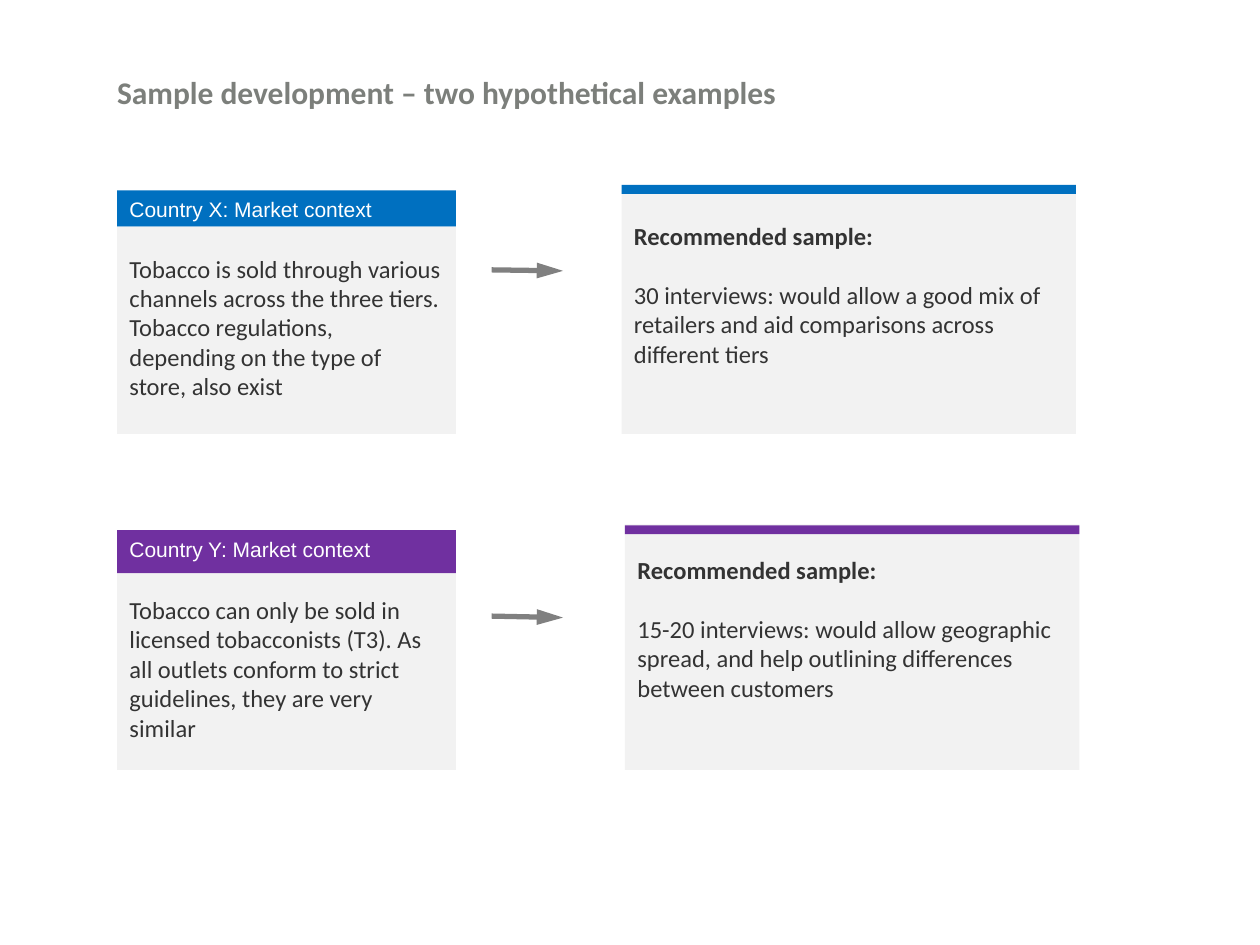
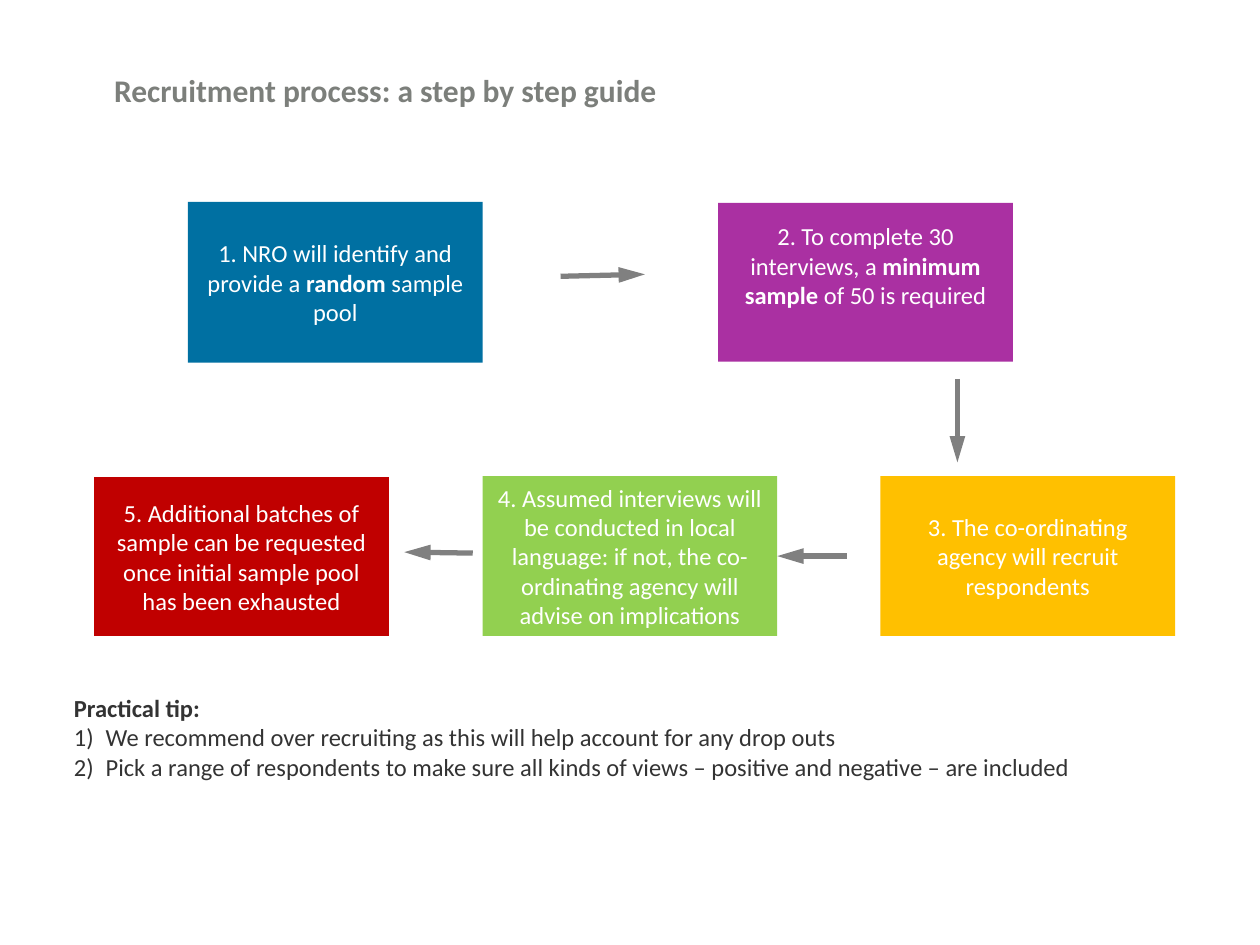
from lxml import etree
from pptx import Presentation
from pptx import util as u
from pptx.dml.color import RGBColor
from pptx.enum import shapes, text
from pptx.oxml.ns import qn

COLOURS = {
    "title": "7C7F7B", "body": "333333", "white": "FFFFFF",
    "card": "F2F2F2", "arrow": "808080",
    "country_x": "0070C0", "country_y": "7030A0",
    "pool": "0070A2", "minimum": "AA30A2", "recruit": "FFC000",
    "language": "92D050", "batches": "C00000",
}
HEADING_FONT = "Arial"
BODY_FONT = "Calibri"
BODY_SIZE = 14
LINE_HEIGHT = 17
SIDE_INSET, EDGE_INSET = 0.25, 0.13
CARD_INSET = 0.61
TOP, MIDDLE = text.MSO_ANCHOR.TOP, text.MSO_ANCHOR.MIDDLE
LEFT, CENTRE = text.PP_ALIGN.LEFT, text.PP_ALIGN.CENTER


def rgb(name):
    return RGBColor.from_string(COLOURS[name])


def write(frame, paragraphs, colour, size=BODY_SIZE, font=BODY_FONT, align=LEFT):
    """Fill a frame; each paragraph is a list of (words, bold) pairs."""
    for index, parts in enumerate(paragraphs):
        paragraph = frame.add_paragraph() if index else frame.paragraphs[0]
        paragraph.alignment = align
        for words, bold in parts:
            run = paragraph.add_run()
            run.text = words
            run.font.name = font
            run.font.size = u.Pt(size)
            run.font.bold = bold
            run.font.color.rgb = rgb(colour)


def set_frame(frame, anchor, top=EDGE_INSET, bottom=EDGE_INSET, side=SIDE_INSET):
    frame.word_wrap = True
    frame.vertical_anchor = anchor
    frame.margin_left = frame.margin_right = u.Cm(side)
    frame.margin_top, frame.margin_bottom = u.Cm(top), u.Cm(bottom)


def add_block(slide, left, top, width, height, colour):
    block = slide.shapes.add_shape(
        shapes.MSO_SHAPE.RECTANGLE,
        u.Cm(left), u.Cm(top), u.Cm(width), u.Cm(height))
    block.shadow.inherit = False
    block.fill.solid()
    block.fill.fore_color.rgb = rgb(colour)
    block.line.fill.background()
    return block


def add_arrow(slide, start, end):
    arrow = slide.shapes.add_connector(
        shapes.MSO_CONNECTOR.STRAIGHT, *(u.Cm(value) for value in start + end))
    arrow.line.color.rgb = rgb("arrow")
    arrow.line.width = u.Pt(3)
    etree.SubElement(arrow.line._get_or_add_ln(), qn("a:tailEnd"),
                     type="triangle", w="med", len="lg")
    etree.SubElement(arrow._element.spPr, qn("a:effectLst"))
    return arrow


def add_text_box(slide, left, top, width, height):
    return slide.shapes.add_textbox(
        u.Cm(left), u.Cm(top), u.Cm(width), u.Cm(height)).text_frame


def add_title(slide, left, top, words):
    frame = add_text_box(slide, left, top, 21.7, 2.13)
    set_frame(frame, MIDDLE, top=0, bottom=0, side=0)
    write(frame, [[(words, True)]], "title", size=18)


def add_context(slide, top, header_height, bottom, colour, heading, sentences):
    left, width = 2.36, 6.83
    header = add_block(slide, left, top, width, header_height, colour)
    set_frame(header.text_frame, TOP)
    write(header.text_frame, [[(heading, False)]], "white", size=12, font=HEADING_FONT)

    body_top = top + header_height
    body = add_block(slide, left, body_top, width, bottom - body_top, "card")
    set_frame(body.text_frame, MIDDLE, top=CARD_INSET, bottom=0.74)
    write(body.text_frame, [[(sentence, False)] for sentence in sentences], "body")


def add_recommendation(slide, left, top, bottom, bar_top, colour, advice):
    width = 9.16
    card = add_block(slide, left, top, width, bottom - top, "card")
    set_frame(card.text_frame, TOP, top=CARD_INSET)
    write(card.text_frame, [[("Recommended sample:", True)], [(advice, False)]], "body")
    card.text_frame.paragraphs[1].space_before = u.Pt(LINE_HEIGHT)
    add_block(slide, left, bar_top, width, 0.18, colour)


def add_step(slide, left, top, height, colour, parts, bottom_inset=EDGE_INSET):
    step = add_block(slide, left, top, 5.94, height, colour)
    set_frame(step.text_frame, MIDDLE, bottom=bottom_inset)
    write(step.text_frame, [parts], "white", align=CENTRE)
    return step


def add_tips(slide, heading, tips):
    frame = add_text_box(slide, 1.24, 13.84, 24, 2.06)
    set_frame(frame, TOP)
    write(frame, [[(heading, True)]] + [[(tip, False)] for tip in tips], "body")
    for paragraph in frame.paragraphs[1:]:
        properties = paragraph._p.get_or_add_pPr()
        properties.set("marL", str(u.Cm(0.64)))
        properties.set("indent", str(-u.Cm(0.64)))
        etree.SubElement(properties, qn("a:buAutoNum"), type="arabicParenR")


def build_examples(slide):
    add_title(slide, 2.36, 0.79, "Sample development – two hypothetical examples")

    add_context(slide, 3.84, 0.73, 8.75, "country_x", "Country X: Market context", [
        "Tobacco is sold through various channels across the three tiers.",
        "Tobacco regulations, depending on the type of store, also exist"])
    add_arrow(slide, (9.91, 5.44), (11.35, 5.46))
    add_recommendation(
        slide, 12.53, 3.84, 8.75, 3.73, "country_x",
        "30 interviews: would allow a good mix of retailers and aid comparisons "
        "across different tiers")

    add_context(slide, 10.69, 0.87, 15.52, "country_y", "Country Y: Market context", [
        "Tobacco can only be sold in licensed tobacconists (T3). As all outlets "
        "conform to strict guidelines, they are very similar"])
    add_arrow(slide, (9.91, 12.42), (11.35, 12.45))
    add_recommendation(
        slide, 12.6, 10.57, 15.52, 10.59, "country_y",
        "15-20 interviews: would allow geographic spread, and help outlining "
        "differences between customers")


def build_process(slide):
    add_title(slide, 2.3, 0.74, "Recruitment process: a step by step guide")

    add_step(slide, 3.79, 4.07, 3.24, "pool", [
        ("1. NRO will identify and provide a ", False), ("random", True),
        (" sample pool", False)])
    add_step(slide, 14.48, 4.09, 3.2, "minimum", [
        ("2. To complete 30 interviews, a ", False), ("minimum sample ", True),
        ("of 50 is required", False)], bottom_inset=0.81)
    add_step(slide, 17.75, 9.6, 3.22, "recruit", [
        ("3. The co-ordinating agency will recruit respondents", False)])
    language = add_step(slide, 9.73, 9.6, 3.22, "language", [
        ("4. Assumed interviews will be conducted in local language: if not, "
         "the co-ordinating agency will advise on implications", False)])
    add_step(slide, 1.9, 9.62, 3.2, "batches", [
        ("5. Additional batches of sample can be requested once initial sample "
         "pool has been exhausted", False)])

    add_arrow(slide, (11.3, 5.57), (13, 5.53))
    add_arrow(slide, (19.3, 7.64), (19.3, 9.32))
    to_language = add_arrow(slide, (17.07, 11.21), (15.67, 11.21))
    to_language.end_connect(language, 3)
    add_arrow(slide, (9.53, 11.15), (8.15, 11.13))

    add_tips(slide, "Practical tip:", [
        "We recommend over recruiting as this will help account for any drop outs",
        "Pick a range of respondents to make sure all kinds of views – positive "
        "and negative – are included"])


def main():
    deck = Presentation()
    deck.slide_width, deck.slide_height = u.Cm(25.4), u.Cm(19.05)
    blank = deck.slide_layouts[6]
    for build in (build_examples, build_process):
        build(deck.slides.add_slide(blank))
    deck.save("out.pptx")


if __name__ == "__main__":
    main()
